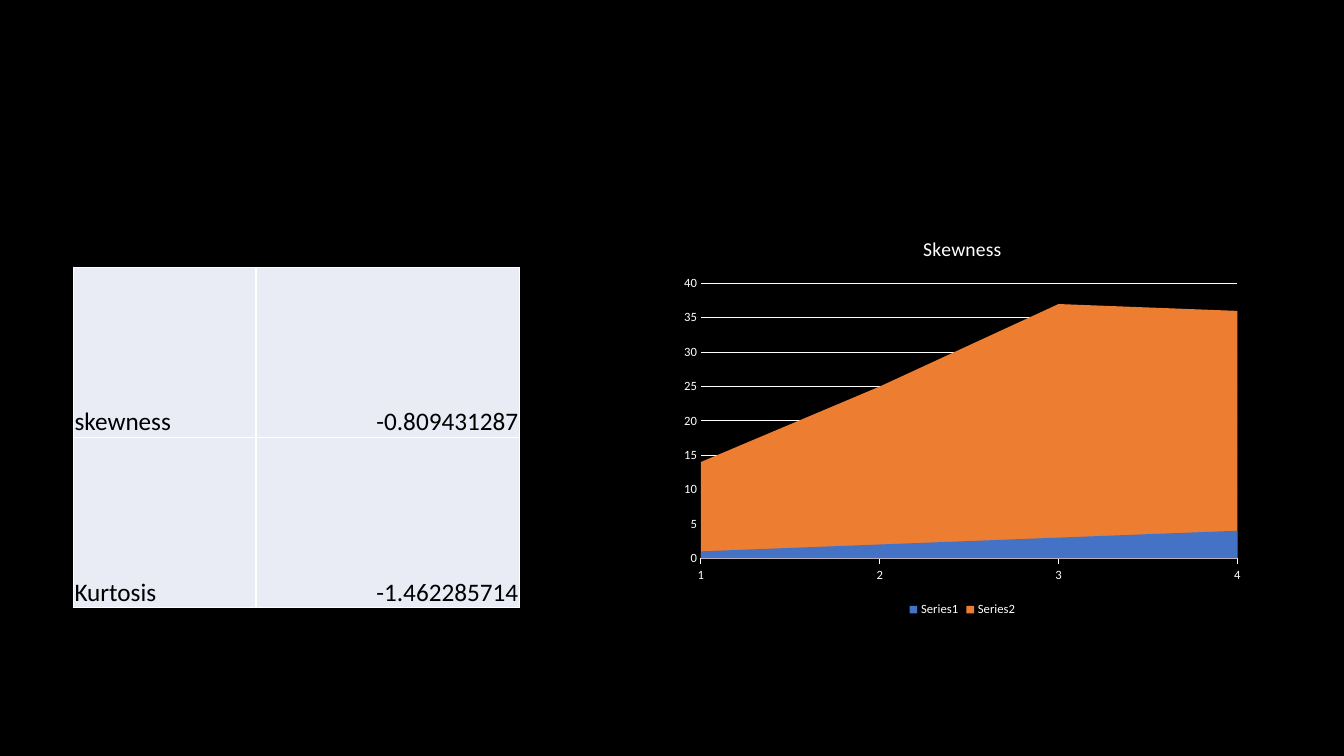
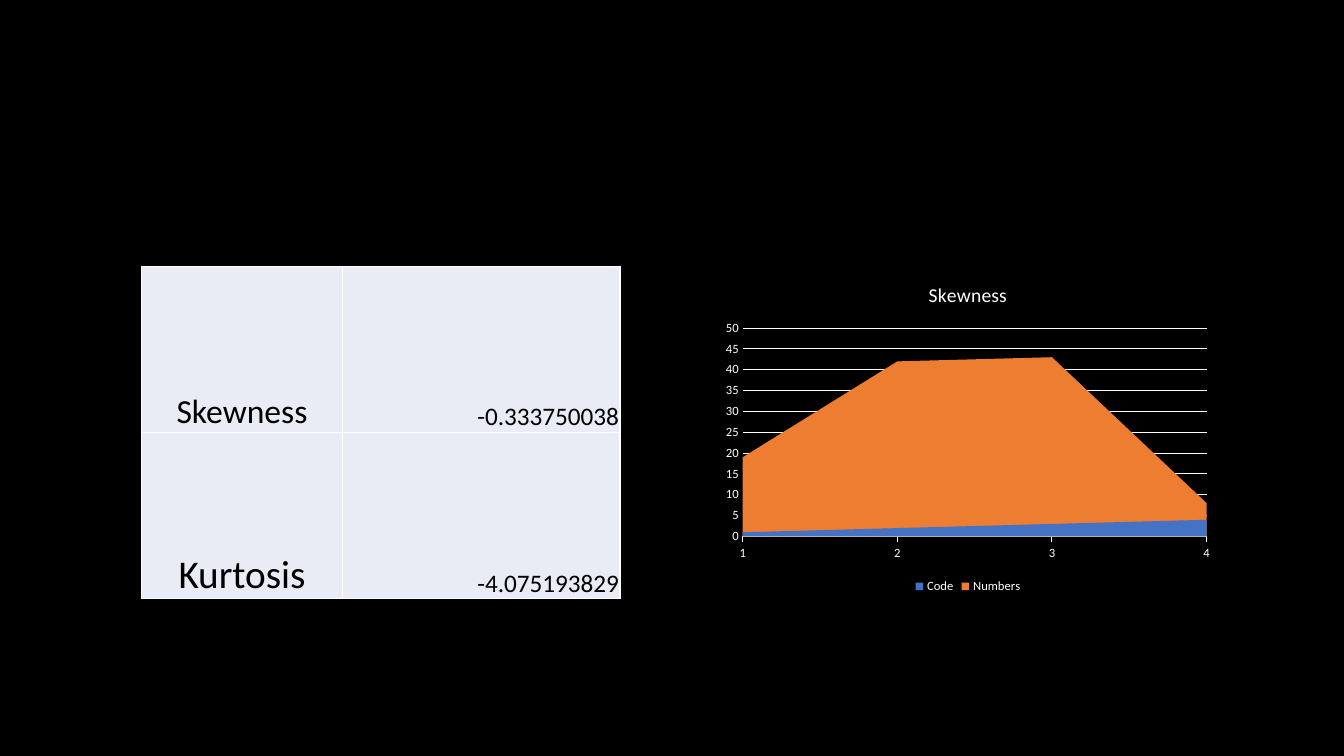
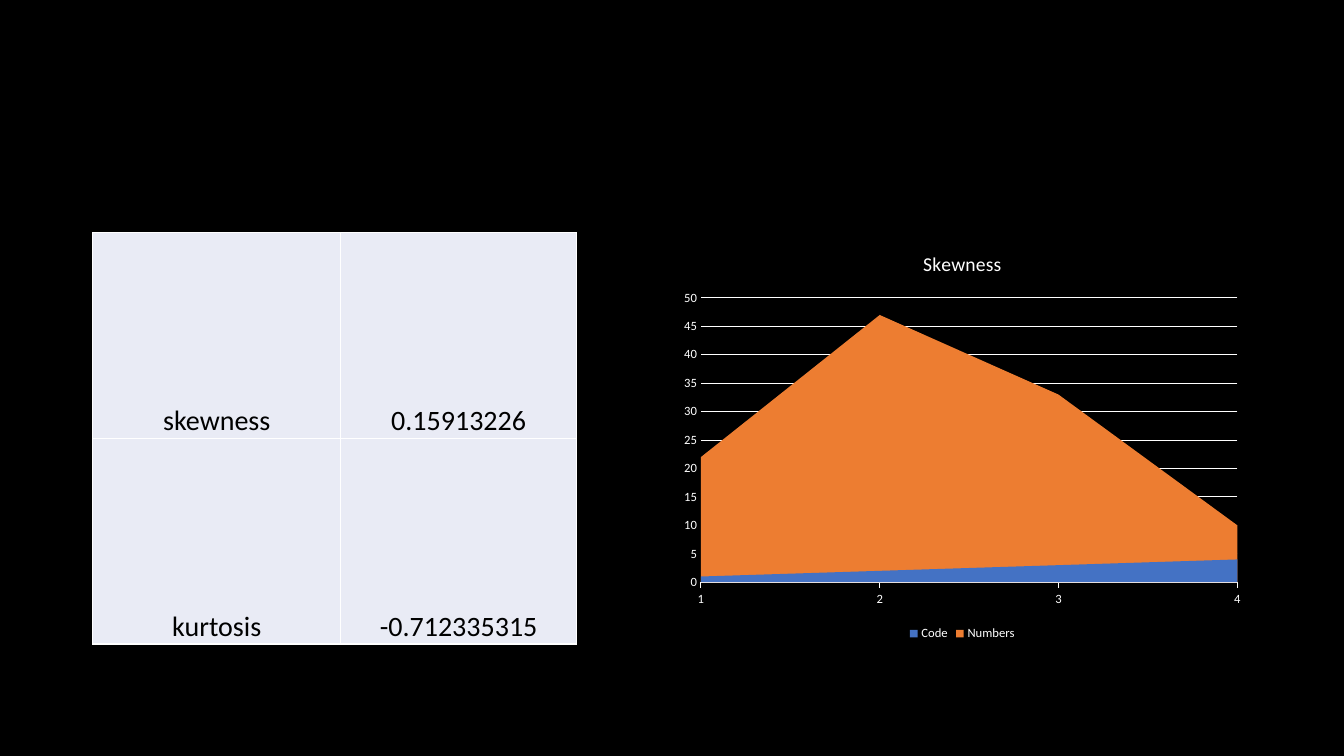
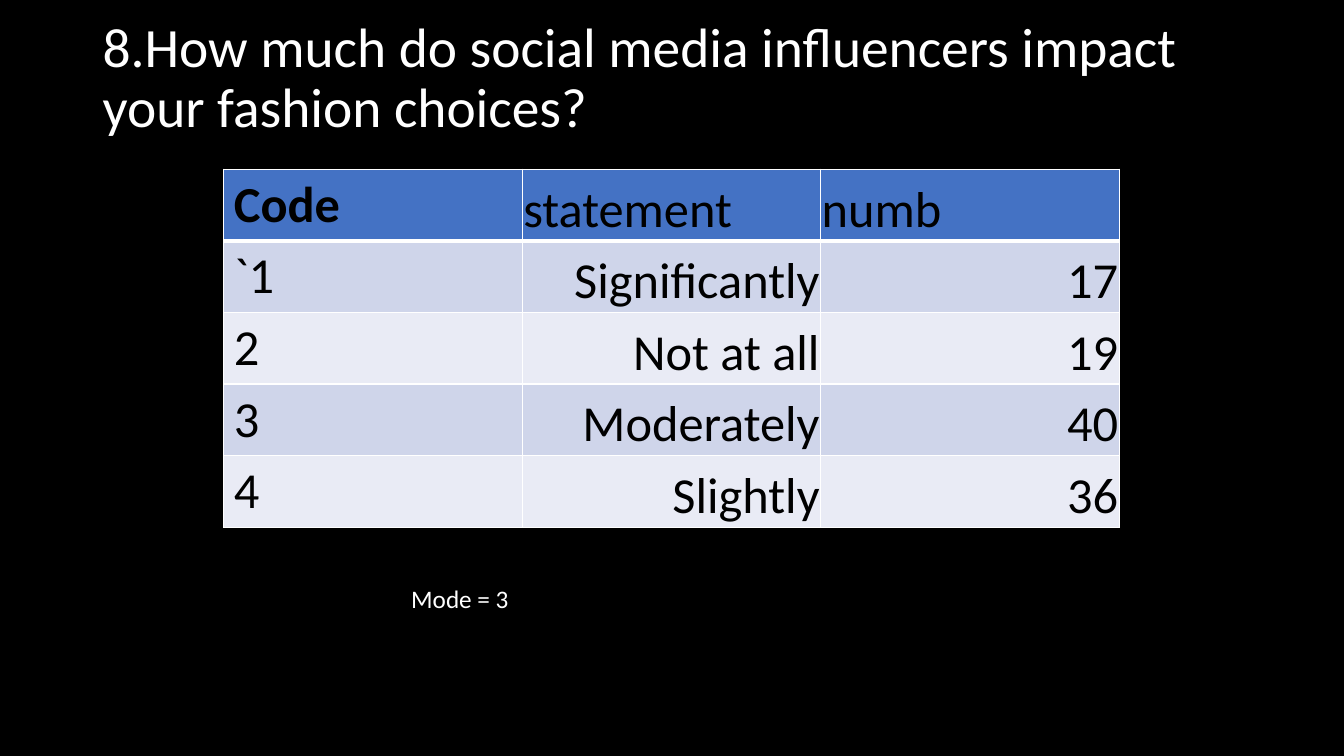
from lxml import etree
from pptx import Presentation
from pptx.chart.data import CategoryChartData
from pptx.dml.color import RGBColor
from pptx.enum.chart import XL_CHART_TYPE, XL_LEGEND_POSITION as LEGEND, XL_TICK_MARK as TICK
from pptx.enum.text import MSO_ANCHOR as ANCHOR, PP_ALIGN as ALIGN
from pptx.oxml.ns import qn
from pptx.util import Inches, Pt

BLACK = RGBColor(0x00, 0x00, 0x00)
WHITE = RGBColor(0xFF, 0xFF, 0xFF)
BLUE = RGBColor(0x44, 0x72, 0xC4)
ORANGE = RGBColor(0xED, 0x7D, 0x31)
BAND_DARK = RGBColor(0xCF, 0xD5, 0xEA)
BAND_LIGHT = RGBColor(0xE9, 0xEB, 0xF5)
FONT = "Calibri"
TIGHT = (0.01, 0.01, 0.01, 0)


def style_font(font, size, color=WHITE, bold=False):
    font.name = FONT
    font.size = Pt(size)
    font.bold = bold
    font.color.rgb = color


def write(tf, text, size, color=WHITE, bold=False, align=ALIGN.LEFT, spacing=None):
    p = tf.paragraphs[0]
    p.alignment = align
    p.line_spacing = spacing
    r = p.add_run()
    r.text = text
    style_font(r.font, size, color, bold)


def add_text(slide, box, text, size, anchor=ANCHOR.TOP, **fmt):
    tf = slide.shapes.add_textbox(*map(Inches, box)).text_frame
    tf.word_wrap = True
    tf.vertical_anchor = anchor
    write(tf, text, size, **fmt)


def set_borders(cell, top=1, bottom=1):
    """Draw white borders; widths are in points."""
    tc_pr = cell._tc.get_or_add_tcPr()
    for side, width in (("L", 1), ("R", 1), ("T", top), ("B", bottom)):
        ln = etree.SubElement(tc_pr, qn(f"a:ln{side}"), w=str(Pt(width)))
        fill = etree.SubElement(ln, qn("a:solidFill"))
        etree.SubElement(fill, qn("a:srgbClr"), val=str(WHITE))


def fill_cell(cell, text, size, fill, tight=True, top=1, bottom=1, **fmt):
    set_borders(cell, top, bottom)
    cell.fill.solid()
    cell.fill.fore_color.rgb = fill
    if tight:
        cell.vertical_anchor = ANCHOR.BOTTOM
        (cell.margin_left, cell.margin_top,
         cell.margin_right, cell.margin_bottom) = map(Inches, TIGHT)
    write(cell.text_frame, text, size, color=BLACK, **fmt)


def add_table(slide, left, top, widths, row_height, rows):
    table = slide.shapes.add_table(
        rows, len(widths), Inches(left), Inches(top),
        Inches(sum(widths)), Inches(row_height * rows)).table
    table.first_row = table.horz_banding = False
    for column, width in zip(table.columns, widths):
        column.width = Inches(width)
    for row in table.rows:
        row.height = Inches(row_height)
    return table


def add_stats_table(slide, left, top, widths, row_height, rows, aligns, label_sizes, value_size):
    table = add_table(slide, left, top, widths, row_height, len(rows))
    for i, (texts, label_size) in enumerate(zip(rows, label_sizes)):
        for j, size in enumerate((label_size, value_size)):
            fill_cell(table.cell(i, j), texts[j], size, BAND_LIGHT, align=aligns[j])


def add_answer_table(slide, left, top, widths, row_height, rows):
    table = add_table(slide, left, top, widths, row_height, len(rows))
    for i, texts in enumerate(rows):
        header = i == 0
        fill = BLUE if header else (BAND_LIGHT, BAND_DARK)[i % 2]
        for j, text in enumerate(texts):
            first = j == 0
            fill_cell(table.cell(i, j), text, 36, fill, tight=not first,
                      top=3 if i == 1 else 1, bottom=3 if header else 1,
                      bold=header and first,
                      align=ALIGN.LEFT if header or first else ALIGN.RIGHT)


def add_area_chart(slide, box, names, counts):
    codes = range(1, len(counts) + 1)
    data = CategoryChartData()
    data.categories = [str(code) for code in codes]
    for name, values in zip(names, (codes, counts)):
        data.add_series(name, values)
    chart = slide.shapes.add_chart(XL_CHART_TYPE.AREA, *map(Inches, box), data).chart
    style_font(chart.font, 10)

    chart.has_title = True
    write(chart.chart_title.text_frame, "Skewness", 14, align=ALIGN.CENTER)
    chart.chart_title.include_in_layout = False
    chart.has_legend = True
    chart.legend.position = LEGEND.BOTTOM
    chart.legend.include_in_layout = False
    style_font(chart.legend.font, 9)

    plot = chart.plots[0]
    plot.vary_by_categories = False
    for series, color in zip(plot.series, (BLUE, ORANGE)):
        series.format.fill.solid()
        series.format.fill.fore_color.rgb = color

    cat_axis, val_axis = chart.category_axis, chart.value_axis
    for axis, tick in ((cat_axis, TICK.OUTSIDE), (val_axis, TICK.NONE)):
        axis.major_tick_mark = tick
        axis.minor_tick_mark = TICK.NONE
        style_font(axis.tick_labels.font, 9)
    cat_axis.has_major_gridlines = False
    val_axis.has_major_gridlines = True
    val_axis.format.line.fill.background()
    for line in (cat_axis.format.line, val_axis.major_gridlines.format.line):
        line.color.rgb = WHITE
        line.width = Pt(0.75)


def main():
    prs = Presentation()
    prs.slide_width, prs.slide_height = Inches(13.33), Inches(7.5)
    background = prs.slide_master.background.fill
    background.solid()
    background.fore_color.rgb = BLACK

    def new_slide():
        return prs.slides.add_slide(prs.slide_layouts[6])

    s = new_slide()
    add_stats_table(s, 0.73, 2.65, (1.81, 2.61), 1.69,
                    (("skewness", "-0.809431287"), ("Kurtosis", "-1.462285714")),
                    (ALIGN.LEFT, ALIGN.RIGHT), (18, 18), 18)
    add_area_chart(s, (6.67, 2.17, 5.75, 3.99), ("Series1", "Series2"), (14, 25, 37, 36))

    s = new_slide()
    add_stats_table(s, 1.4, 2.64, (2, 2.75), 1.65,
                    (("Skewness", "-0.333750038"), ("Kurtosis", "-4.075193829")),
                    (ALIGN.CENTER, ALIGN.RIGHT), (24, 28), 18)
    add_area_chart(s, (7.1, 2.64, 5, 3.29), ("Code", "Numbers"), (19, 42, 43, 8))

    s = new_slide()
    add_stats_table(s, 0.92, 2.31, (2.46, 2.34), 2.04,
                    (("skewness", "0.15913226"), ("kurtosis", "-0.712335315")),
                    (ALIGN.CENTER, ALIGN.CENTER), (20, 20), 20)
    add_area_chart(s, (6.67, 2.31, 5.75, 4.09), ("Code", "Numbers"), (22, 47, 33, 10))

    s = new_slide()
    add_text(s, (0.92, 0.14, 11.5, 1.3),
             "8.How much do social media influencers impact your fashion choices?",
             39.6, anchor=ANCHOR.MIDDLE, spacing=0.9)
    add_answer_table(s, 2.22, 1.68, [2.96] * 3, 0.71, (
        ("Code", "statement", "numb"),
        ("`1", "Significantly", "17"),
        ("2", "Not at all", "19"),
        ("3", "Moderately", "40"),
        ("4", "Slightly", "36"),
    ))
    add_text(s, (3.98, 5.74, 4.35, 0.4), "Mode = 3", 18)

    prs.save("out.pptx")


if __name__ == "__main__":
    main()
